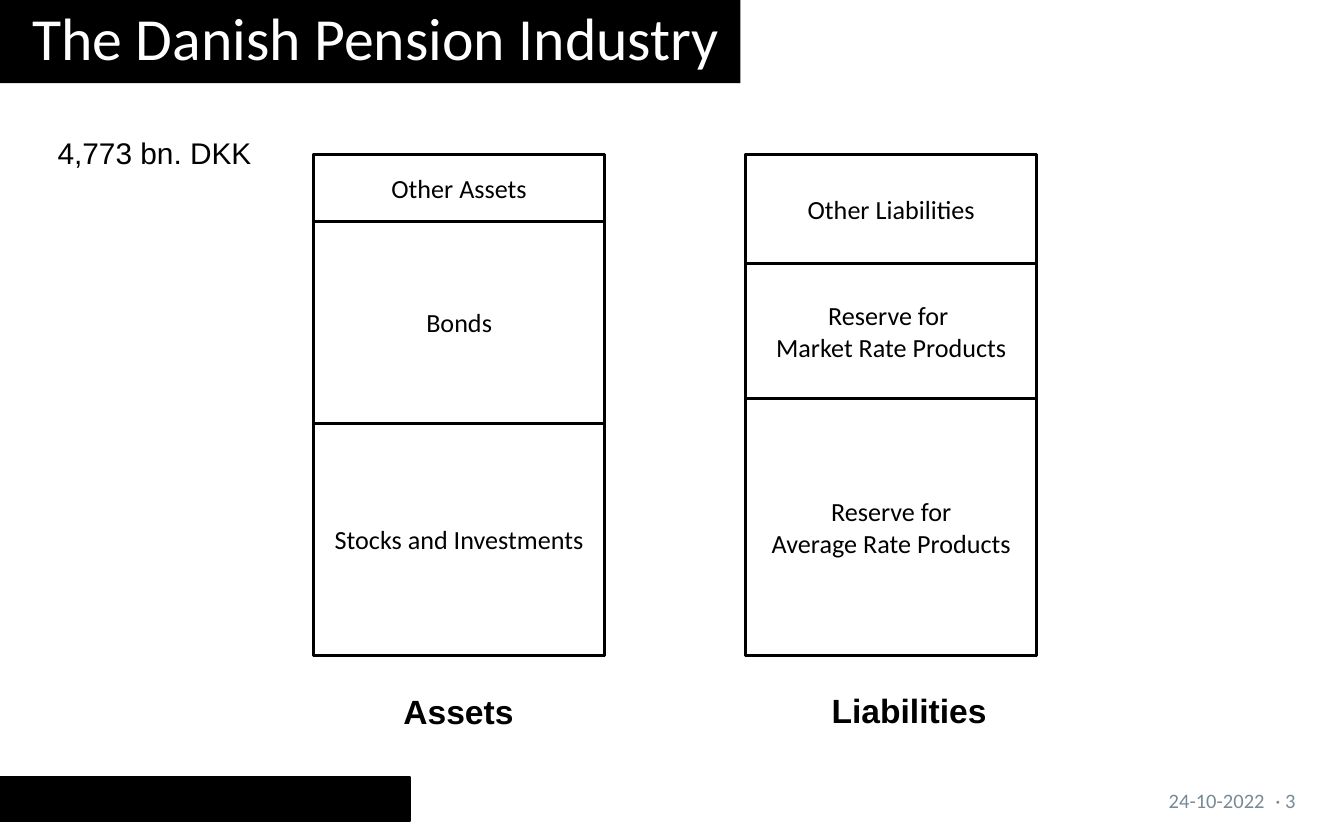
from pptx import Presentation
from pptx.dml.color import RGBColor
from pptx.enum.shapes import MSO_SHAPE as Shape
from pptx.enum.text import MSO_ANCHOR as Anchor, PP_ALIGN as Align
from pptx.util import Pt

COLORS = {"ink": "000000", "paper": "FFFFFF", "muted": "778A95"}
DEFAULT_INSETS = (7.2, 3.6, 7.2, 3.6)


def color(name):
    """Return the named colour."""
    return RGBColor.from_string(COLORS[name])


def write(frame, text, size, font="Calibri", ink="ink", bold=False,
          align=Align.LEFT, anchor=Anchor.MIDDLE, wrap=True, insets=DEFAULT_INSETS):
    """Fill a text frame with one formatted paragraph."""
    sides = ("margin_left", "margin_top", "margin_right", "margin_bottom")
    layout = {"word_wrap": wrap, "vertical_anchor": anchor}
    layout.update(zip(sides, map(Pt, insets)))
    for name, value in layout.items():
        setattr(frame, name, value)
    para = frame.paragraphs[0]
    para.text = text
    para.alignment = align
    for span in para.runs:
        for name, value in {"name": font, "size": Pt(size), "bold": bold}.items():
            setattr(span.font, name, value)
        span.font.color.rgb = color(ink)


def add_block(page, box, fill, line_width):
    """Add a flat outlined rectangle."""
    block = page.shapes.add_shape(Shape.RECTANGLE, *map(Pt, box))
    block.shadow.inherit = False
    block.fill.solid()
    block.fill.fore_color.rgb = color(fill)
    block.line.color.rgb = color("ink")
    block.line.width = Pt(line_width)
    return block


def add_label(page, box, text, size, **style):
    """Add a text box."""
    label = page.shapes.add_textbox(*map(Pt, box))
    write(label.text_frame, text, size, **style)


def add_title(page, box, text):
    """Add the black title band."""
    band = add_block(page, box, "ink", 0)
    band.line.fill.background()
    write(band.text_frame, text, 32, ink="paper", wrap=False, insets=(17.3, 0, 7.2, 5.8))


def add_footer(page, box, date, number):
    """Add the black bar, the date and the page number."""
    left, top, width, height = box
    add_block(page, (left, top, 219.6, height), "ink", 1)
    number_left = left + width - 36.7
    style = {"ink": "muted", "insets": (0, 0, 0, 0)}
    add_label(page, (number_left - 173.5, top + 0.5, 167.8, height), date, 11,
              align=Align.RIGHT, **style)
    add_label(page, (number_left, top + 0.5, 23.8, height), number, 11, **style)


def add_column(page, box, parts, caption, caption_box):
    """Stack the parts of one balance sheet side above its caption."""
    left, top, width, height = box
    add_block(page, box, "paper", 1.5)
    offset = 0
    for text, share in parts:
        block = add_block(page, (left, top + offset, width, share), "paper", 1.5)
        write(block.text_frame, text, 14, align=Align.CENTER)
        offset += share
    shift, drop, caption_width = caption_box
    add_label(page, (left + shift, top + height + drop, caption_width, 29), caption, 18,
              font="Arial", bold=True, anchor=Anchor.TOP, wrap=False)


def main():
    """Build the deck."""
    deck = Presentation()
    deck.slide_width, deck.slide_height = Pt(720), Pt(450)
    page = deck.slides.add_slide(deck.slide_layouts[6])
    add_title(page, (0, 0, 396.7, 44.6), "The Danish Pension Industry")
    add_footer(page, (0, 416.2, 720, 23.8), "24-10-2022", "· 3")
    assets = [("Other Assets", 36), ("Bonds", 108), ("Stocks and Investments", 124.5)]
    liabilities = [("Other Liabilities", 58.5),
                   ("Reserve for \nMarket Rate Products", 72),
                   ("Reserve for\nAverage Rate Products", 138)]
    add_column(page, (168, 82.8, 156, 268.5), assets, "Assets", (41, 15.2, 74))
    add_column(page, (399.5, 82.8, 156, 268.5), liabilities, "Liabilities", (39, 14.5, 98.6))
    add_label(page, (23.8, 68.4, 119.5, 26.6), "4,773 bn. DKK", 16,
              font="Arial", anchor=Anchor.TOP, wrap=False)
    deck.save("out.pptx")


if __name__ == "__main__":
    main()
